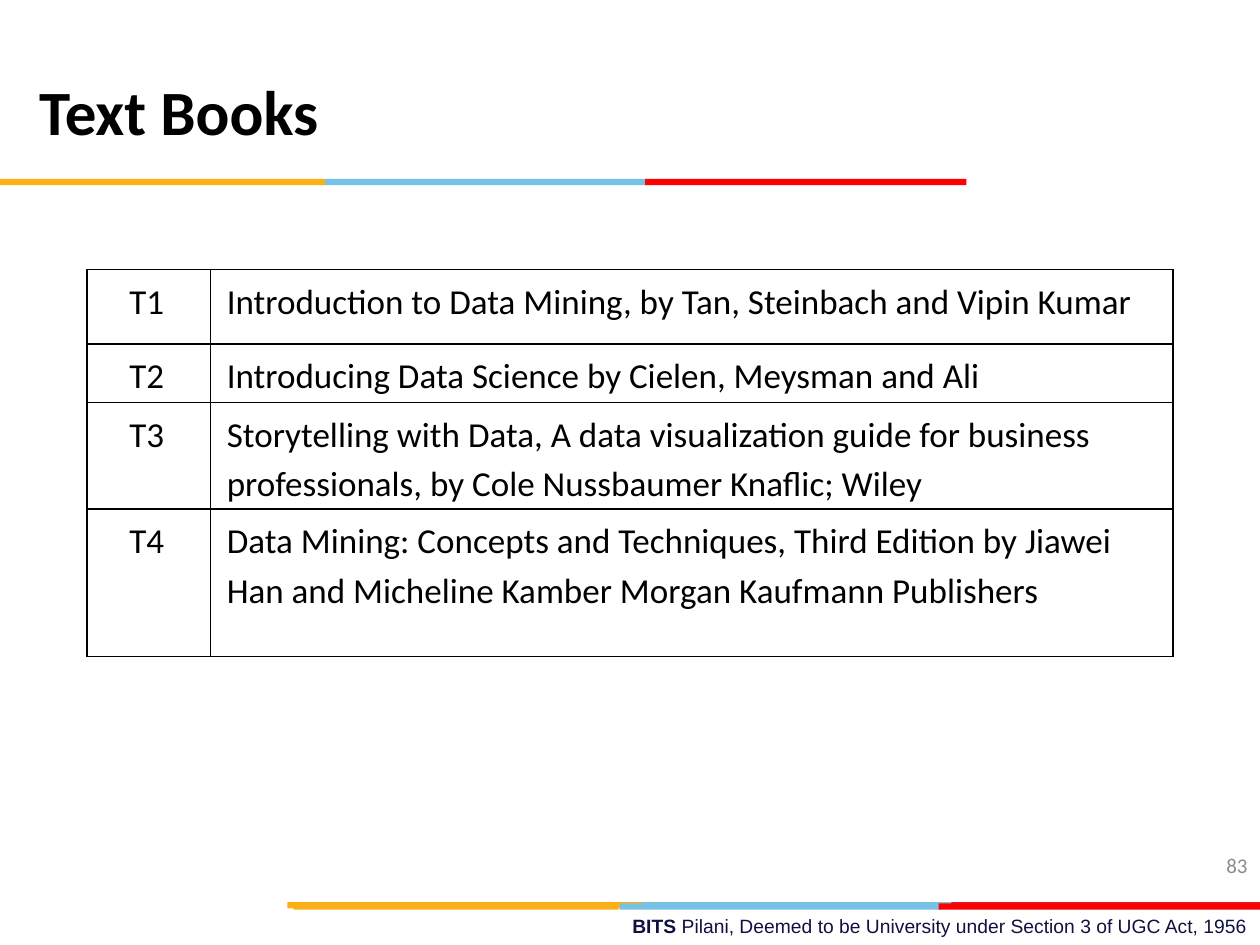
from pptx import Presentation
from pptx.dml.color import RGBColor
from pptx.enum.shapes import MSO_SHAPE
from pptx.enum.text import MSO_ANCHOR, PP_ALIGN
from pptx.oxml import parse_xml
from pptx.oxml.ns import nsdecls
from pptx.util import Inches, Pt

AMBER, SKY, RED, DARK_RED = "FCB017", "76C2E5", "FF0000", "E31C24"
BLACK, NAVY, GRAY = "000000", "101141", "8C8C8C"


def color(hex_value):
    return RGBColor.from_string(hex_value)


def add_run(paragraph, text, size, font_name, hex_value, bold=False):
    run = paragraph.add_run()
    run.text = text
    run.font.size = Pt(size)
    run.font.name = font_name
    run.font.bold = bold
    run.font.color.rgb = color(hex_value)


presentation = Presentation()
presentation.slide_width = Inches(10)
presentation.slide_height = Inches(7.5)
slide = presentation.slides.add_slide(presentation.slide_layouts[6])

# Footer line
footer = slide.shapes.add_textbox(Inches(3.58), Inches(7.21), Inches(6.42), Inches(0.29))
footer.text_frame.word_wrap = True
paragraph = footer.text_frame.paragraphs[0]
paragraph.alignment = PP_ALIGN.RIGHT
add_run(paragraph, "BITS ", 11, "Arial", NAVY, bold=True)
add_run(paragraph, "Pilani, Deemed to be University under Section 3 of UGC Act, 1956",
        11, "Arial", NAVY)

# Tricolour bands: two overlapping ones above the footer, one under the title
bands = [
    (7.16, [(5.06, 2.55, SKY), (7.55, 2.45, DARK_RED), (2.28, 2.82, AMBER)]),
    (7.17, [(4.92, 2.55, SKY), (2.33, 2.58, AMBER), (7.45, 2.55, RED)]),
    (1.42, [(2.58, 2.55, SKY), (0, 2.58, AMBER), (5.12, 2.55, RED)]),
]
for top, segments in bands:
    for left, width, fill in segments:
        shape = slide.shapes.add_shape(MSO_SHAPE.RECTANGLE, Inches(left), Inches(top),
                                       Inches(width), Inches(0.05))
        shape.shadow.inherit = False
        shape.fill.solid()
        shape.fill.fore_color.rgb = color(fill)
        shape.line.fill.background()

# Slide number
number = slide.shapes.add_textbox(Inches(7.67), Inches(6.67), Inches(2.33), Inches(0.4))
number.text_frame.word_wrap = True
number.text_frame.vertical_anchor = MSO_ANCHOR.MIDDLE
paragraph = number.text_frame.paragraphs[0]
paragraph.alignment = PP_ALIGN.RIGHT
add_run(paragraph, "83", 12, "Calibri", GRAY)

# Book table
books = [
    ("T1", "Introduction to Data Mining, by Tan, Steinbach and Vipin Kumar"),
    ("T2", "Introducing Data Science by Cielen, Meysman and Ali"),
    ("T3", "Storytelling with Data, A data visualization guide for business "
           "professionals, by Cole Nussbaumer Knaflic; Wiley"),
    ("T4", "Data Mining: Concepts and Techniques, Third Edition by Jiawei Han "
           "and Micheline Kamber Morgan Kaufmann Publishers"),
]
row_heights = [0.59, 0.42, 0.8, 1.17]
table = slide.shapes.add_table(len(books), 2, Inches(0.69), Inches(2.14),
                               Inches(8.62), Inches(sum(row_heights))).table
table.first_row = False
table.horz_banding = False
for column, width in zip(table.columns, [0.98, 7.64]):
    column.width = Inches(width)

for row, height, book in zip(table.rows, row_heights, books):
    row.height = Inches(height)
    for index, (cell, text) in enumerate(zip(row.cells, book)):
        cell.margin_left = Inches(0.01)
        cell.margin_right = cell.margin_top = cell.margin_bottom = Inches(0.04)
        properties = cell._tc.get_or_add_tcPr()
        for side in ("lnL", "lnR", "lnT", "lnB"):
            properties.append(parse_xml(
                f'<a:{side} {nsdecls("a")} w="{Pt(1)}"><a:solidFill>'
                f'<a:srgbClr val="{BLACK}"/></a:solidFill></a:{side}>'))
        cell.fill.background()
        paragraph = cell.text_frame.paragraphs[0]
        paragraph.line_spacing = 1.15
        if index == 0:
            paragraph.alignment = PP_ALIGN.CENTER
            paragraph.space_after = Pt(3)
        else:
            paragraph.space_after = Pt(10)
            paragraph._p.get_or_add_pPr().set("marL", str(Inches(0.12)))
        add_run(paragraph, text, 20, "Calibri", BLACK)

# Title
title = slide.shapes.add_textbox(Inches(0.1), Inches(0.51), Inches(8.62), Inches(0.81))
title.text_frame.word_wrap = True
title.text_frame.margin_left = Inches(0.21)
title.text_frame.vertical_anchor = MSO_ANCHOR.MIDDLE
paragraph = title.text_frame.paragraphs[0]
paragraph.line_spacing = 0.9
add_run(paragraph, "Text Books", 36, "Calibri", BLACK, bold=True)

presentation.save("out.pptx")
